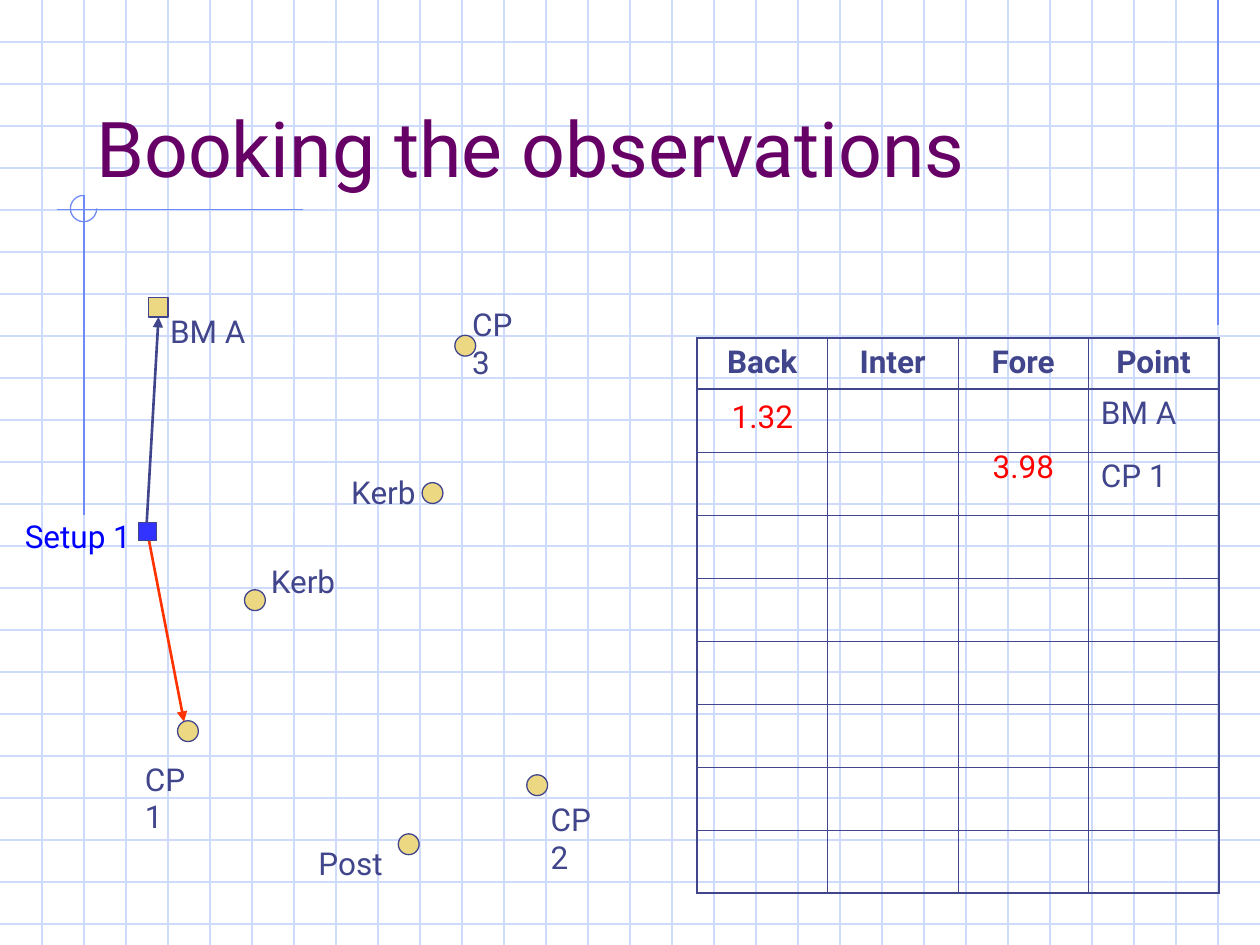
from lxml import etree
from pptx import Presentation
from pptx.dml.color import RGBColor
from pptx.enum.shapes import MSO_CONNECTOR, MSO_SHAPE
from pptx.enum.text import MSO_ANCHOR, PP_ALIGN
from pptx.oxml import parse_xml
from pptx.oxml.ns import nsdecls, qn
from pptx.util import Cm, Pt

STRAIGHT = MSO_CONNECTOR.STRAIGHT
OVAL, SQUARE, ARC = MSO_SHAPE.OVAL, MSO_SHAPE.RECTANGLE, MSO_SHAPE.ARC
LEFT, CENTER = PP_ALIGN.LEFT, PP_ALIGN.CENTER
TOP, BOTTOM = MSO_ANCHOR.TOP, MSO_ANCHOR.BOTTOM
BOTTOM_SIDE = 2
FONT = "Roboto"
COLORS = {
    "paper": "FFFFFF", "grid": "CFDBFD", "margin": "6F89F7", "title": "660066",
    "ink": "40458C", "fore": "FF3300", "sand": "ECD882", "setup": "3333FF",
    "setup_label": "0000FF", "reading": "FF0000",
}
WIDTH, HEIGHT = 25.4, 19.05
CELL = WIDTH / 30
LABEL_HEIGHT = 1.02


def rgb(name):
    """Return the named colour."""
    return RGBColor.from_string(COLORS[name])


def write(frame, text, size=18, color="ink", bold=False, align=LEFT, anchor=TOP):
    """Write one formatted paragraph into a text frame."""
    frame.word_wrap = True
    frame.vertical_anchor = anchor
    paragraph = frame.paragraphs[0]
    paragraph.alignment = align
    run = paragraph.add_run()
    run.text = text
    run.font.name, run.font.size, run.font.bold = FONT, Pt(size), bold
    run.font.color.rgb = rgb(color)


def add_label(slide, box, text, **style):
    """Add a text box holding one paragraph."""
    label = slide.shapes.add_textbox(*map(Cm, box))
    write(label.text_frame, text, **style)


def add_line(slide, start, end, color, width=0.75, arrow=False):
    """Add a straight connector, with an arrowhead at its end if asked."""
    line = slide.shapes.add_connector(STRAIGHT, *map(Cm, (*start, *end)))
    line.line.color.rgb = rgb(color)
    line.line.width = Pt(width)
    if arrow:
        head = etree.SubElement(line.line._get_or_add_ln(), qn("a:tailEnd"))
        head.set("type", "triangle")
    etree.SubElement(line._element.spPr, qn("a:effectLst"))
    return line


def add_mark(slide, kind, x, y, size, fill=None, line="ink"):
    """Add a small outlined mark of equal width and height."""
    mark = slide.shapes.add_shape(kind, Cm(x), Cm(y), Cm(size), Cm(size))
    mark.shadow.inherit = False
    if fill:
        mark.fill.solid()
        mark.fill.fore_color.rgb = rgb(fill)
    else:
        mark.fill.background()
    mark.line.color.rgb = rgb(line)
    mark.line.width = Pt(0.75)
    return mark


def draw_graph_paper(slide, left, top, width, height):
    """Rule the box with square cells."""
    for row in range(1, int(height / CELL) + 1):
        y = top + row * CELL
        add_line(slide, (left, y), (left + width, y), "grid")
    for column in range(1, round(width / CELL)):
        x = left + column * CELL
        add_line(slide, (x, top), (x, top + height), "grid")


def draw_margin_lines(slide, left, top, width):
    """Draw the margin rules and the arc where two of them cross."""
    right, cross = left + width - CELL, left + 2 * CELL
    add_line(slide, (right, top), (right, top + 6.55), "margin")
    add_line(slide, (left + 6.1, top + 4.22), (left + 1.14, top + 4.22), "margin")
    add_line(slide, (cross, top + 3.94), (cross, top + 10.39), "margin")
    arc = add_mark(slide, ARC, left + 1.42, top + 3.94, 0.53, line="margin")
    arc.adjustments[0], arc.adjustments[1] = 0, 162


def draw_survey_plan(slide, left, top):
    """Draw the surveyed points, their labels and the two sights."""
    def at(x, y):
        return left + x, top + y

    backsight = add_line(slide, at(2.7, 4.67), at(2.9, 0.32), "ink", 1.5, True)
    add_line(slide, at(2.7, 4.62), at(3.46, 8.55), "fore", 1.5, True)
    for text, x, y, width, color in (
        ("BM A", 2.93, 0.17, 2.2, "ink"),
        ("CP 1", 2.42, 9.19, 1.72, "ink"),
        ("CP 2", 10.6, 10, 1.72, "ink"),
        ("CP 3", 9.02, 0.02, 1.72, "ink"),
        ("Kerb", 4.96, 5.2, 1.95, "ink"),
        ("Post", 5.92, 10.89, 1.95, "ink"),
        ("Kerb", 6.58, 3.42, 1.95, "ink"),
        ("Setup 1", 0, 4.29, 2.8, "setup_label"),
    ):
        add_label(slide, (*at(x, y), width, LABEL_HEIGHT), text, color=color)
    for x, y in ((3.33, 8.53), (7.78, 10.81), (4.68, 5.89),
                 (10.37, 9.62), (8.92, 0.76), (8.26, 3.73)):
        add_mark(slide, OVAL, *at(x, y), 0.42, "sand")
    benchmark = add_mark(slide, SQUARE, *at(2.75, 0), 0.39, "sand")
    add_mark(slide, SQUARE, *at(2.54, 4.54), 0.36, "setup")
    backsight.end_connect(benchmark, BOTTOM_SIDE)


def set_borders(cell, widths):
    """Give a cell its borders, widths in points by side."""
    properties = cell._tc.get_or_add_tcPr()
    for side, width in widths.items():
        properties.append(parse_xml(
            f'<a:ln{side} {nsdecls("a")} w="{Pt(width)}"><a:solidFill>'
            f'<a:srgbClr val="{COLORS["ink"]}"/></a:solidFill></a:ln{side}>'))


def draw_booking_table(slide, left, top, width):
    """Draw the booking table and the readings laid over it."""
    headings = ("Back", "Inter", "Fore", "Point")
    points = {1: "BM A", 2: "CP 1"}
    rows, columns = 9, len(headings)
    header_height, row_height, column_width = 1.03, 1.27, width / columns
    height = header_height + (rows - 1) * row_height
    thick, thin = 1.08, 0.45
    table = slide.shapes.add_table(
        rows, columns, *map(Cm, (left, top, width, height))).table
    table.first_row = table.horz_banding = False
    for column in table.columns:
        column.width = Cm(column_width)
    for r, row in enumerate(table.rows):
        row.height = Cm(row_height if r else header_height)
        for c, cell in enumerate(row.cells):
            set_borders(cell, {
                "L": thick if c == 0 else thin,
                "R": thick if c == columns - 1 else thin,
                "T": thick if r < 2 else thin,
                "B": thick if r in (0, rows - 1) else thin,
            })
            cell.fill.background()
            if r == 0:
                write(cell.text_frame, headings[c], bold=True, align=CENTER)
            elif r in points and c == columns - 1:
                write(cell.text_frame, points[r])
    for text, column, y in (("1.32", 0, 1.07), ("3.98", 2, 2.08)):
        box = (left + column * column_width - 0.13, top + y, 2.9, LABEL_HEIGHT)
        add_label(slide, box, text, color="reading", align=CENTER)


def main():
    """Build and save the slide."""
    deck = Presentation()
    deck.slide_width, deck.slide_height = Cm(WIDTH), Cm(HEIGHT)
    slide = deck.slides.add_slide(deck.slide_layouts[6])
    slide.background.fill.solid()
    slide.background.fill.fore_color.rgb = rgb("paper")
    draw_graph_paper(slide, 0, 0, WIDTH, HEIGHT)
    draw_margin_lines(slide, 0, 0, WIDTH)
    add_label(slide, (1.69, 0.85, 21.59, 3.17), "Booking the observations",
              size=44, color="title", anchor=BOTTOM)
    draw_survey_plan(slide, 0.25, 6)
    draw_booking_table(slide, 14.05, 6.81, 10.52)
    deck.save("out.pptx")


if __name__ == "__main__":
    main()
